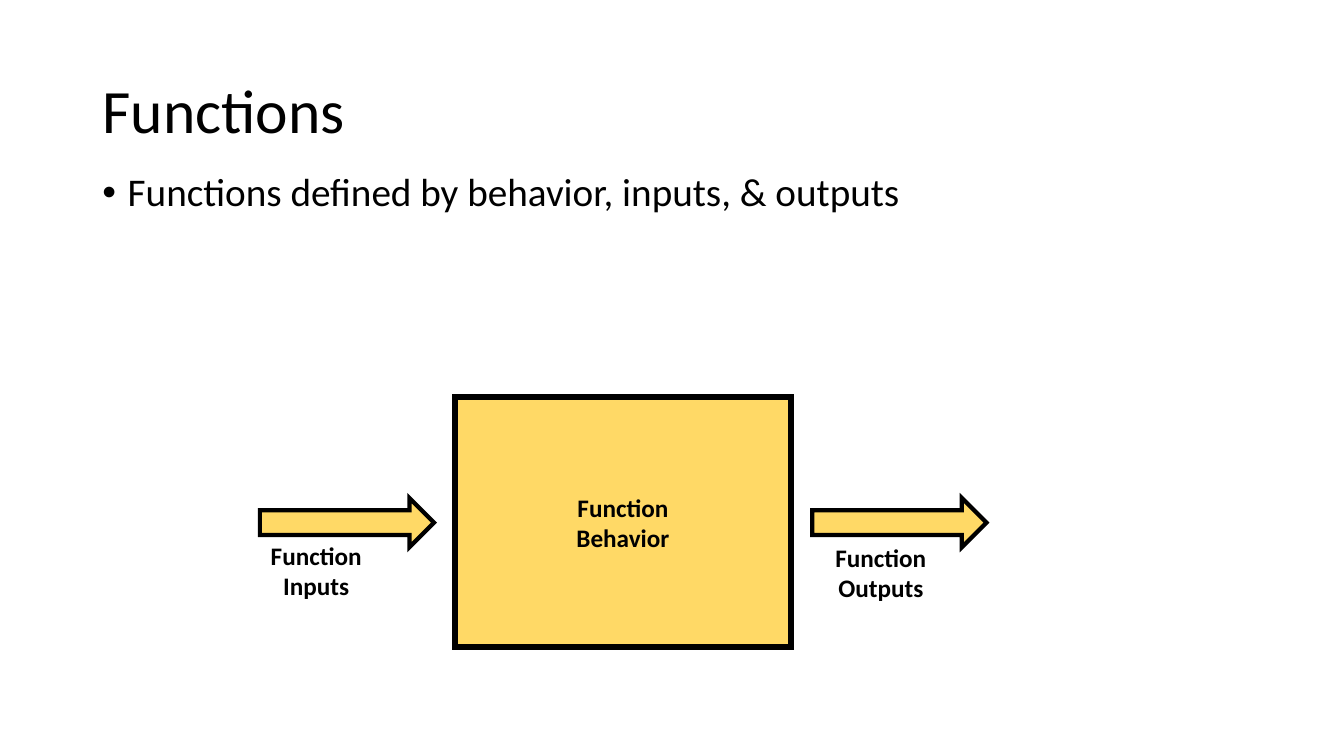
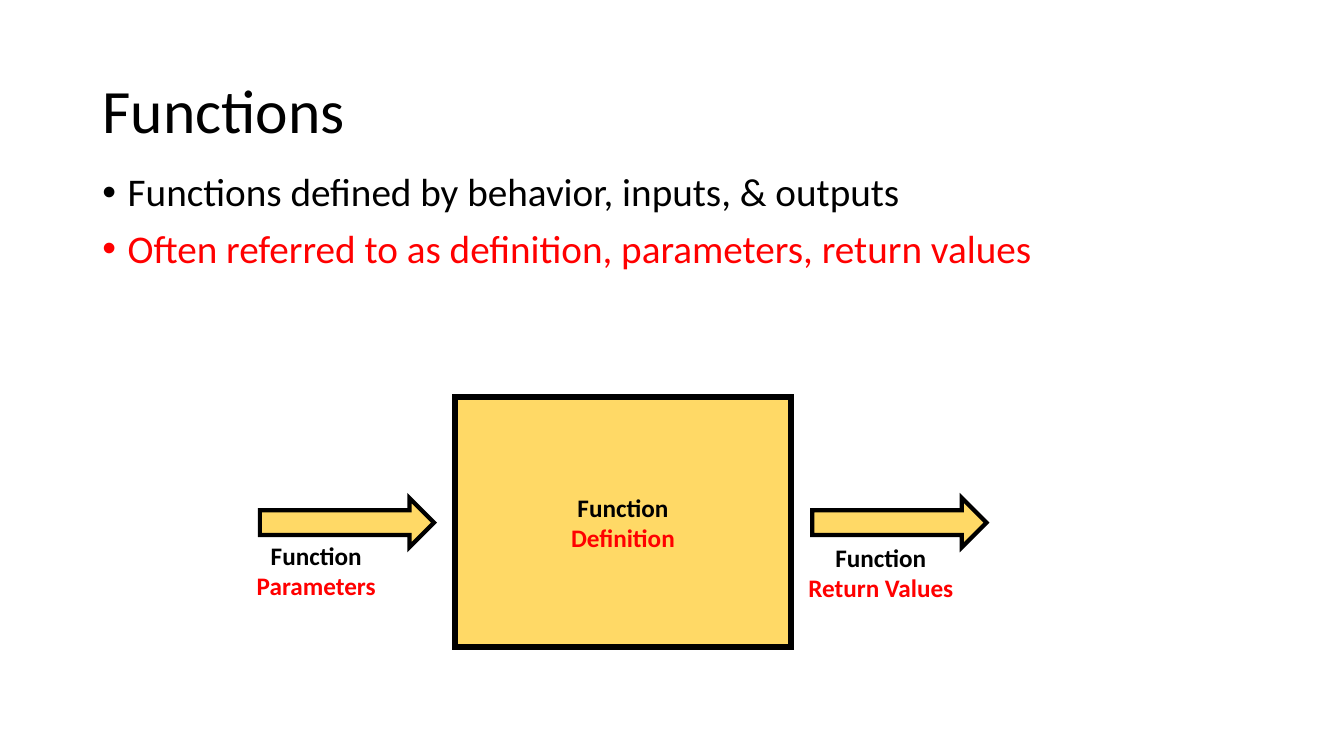
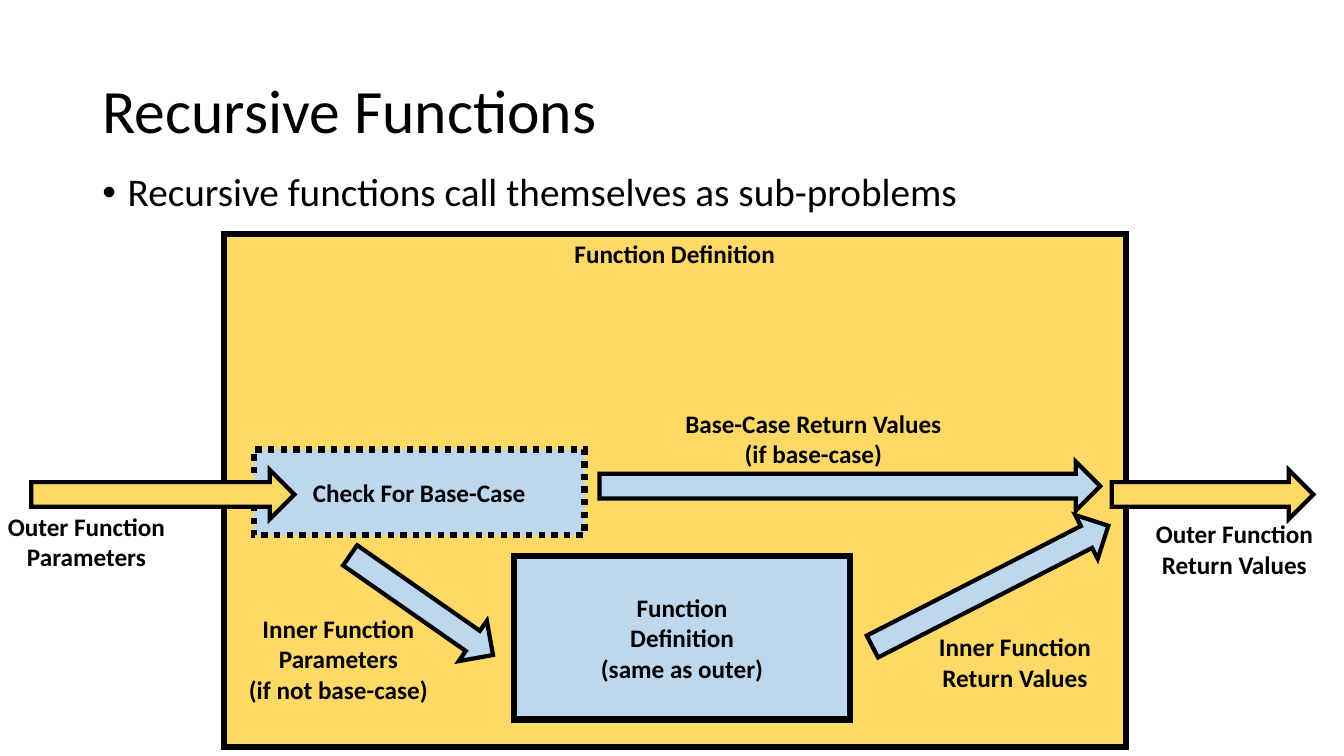
from lxml.etree import SubElement
from pptx import Presentation
from pptx.dml.color import RGBColor
from pptx.enum.dml import MSO_LINE
from pptx.enum.shapes import MSO_SHAPE
from pptx.enum.text import MSO_ANCHOR, PP_ALIGN
from pptx.oxml.ns import qn
from pptx.util import Cm, Pt

HUES = {"ink": "000000", "red": "FF0000", "gold": "FFD966", "blue": "BDD7EE"}
FONT = "Calibri"
WIDE = 8.48


def hue(name):
    return RGBColor.from_string(HUES[name])


def write(frame, text, size, bold=False, align=PP_ALIGN.CENTER,
          anchor=MSO_ANCHOR.MIDDLE, rest="ink"):
    frame.text = text
    frame.word_wrap = True
    frame.vertical_anchor = anchor
    for i, para in enumerate(frame.paragraphs):
        para.alignment = align
        for run in para.runs:
            run.font.name = FONT
            run.font.size = Pt(size)
            run.font.bold = bold
            run.font.color.rgb = hue(rest if i else "ink")


def bullet(para):
    para.line_spacing = 0.9
    para.space_before = Pt(10)
    props = para._p.get_or_add_pPr()
    props.set("marL", str(Cm(0.64)))
    props.set("indent", str(Cm(-0.64)))
    SubElement(props, qn("a:buFont"), typeface="Arial")
    SubElement(props, qn("a:buChar"), char="•")


def start(deck, title, points):
    slide = deck.slides.add_slide(deck.slide_layouts[5])
    head = slide.shapes.title
    head.left, head.top, head.width, head.height = map(Cm, (2.33, 1.01, 29.21, 3.68))
    write(head.text_frame, title, 44, align=PP_ALIGN.LEFT)
    head.text_frame.paragraphs[0].line_spacing = 0.9
    body = slide.shapes.add_textbox(*map(Cm, (2.33, 4.23, 29.21, 12.93)))
    write(body.text_frame, points, 28, align=PP_ALIGN.LEFT,
          anchor=MSO_ANCHOR.TOP, rest="red")
    for para in body.text_frame.paragraphs:
        bullet(para)
    return slide


def solid(slide, kind, area, fill, weight, dash=None):
    shape = slide.shapes.add_shape(kind, *map(Cm, area))
    shape.shadow.inherit = False
    shape.fill.solid()
    shape.fill.fore_color.rgb = hue(fill)
    shape.line.color.rgb = hue("ink")
    shape.line.width = Pt(weight)
    if dash:
        shape.line.dash_style = dash
    SubElement(shape.line._get_or_add_ln(), qn("a:miter"), lim="800000")
    return shape


def box(slide, area, text, fill="gold", rest="ink", dash=None,
        anchor=MSO_ANCHOR.MIDDLE):
    shape = solid(slide, MSO_SHAPE.RECTANGLE, area, fill, 4.5, dash)
    write(shape.text_frame, text, 18, True, anchor=anchor, rest=rest)


def arrow(slide, left, top, width=4.39, fill="gold", turn=0):
    shape = solid(slide, MSO_SHAPE.RIGHT_ARROW, (left, top, width, 1.24), fill, 3)
    shape.rotation = turn


def label(slide, left, top, text, rest="ink"):
    shape = slide.shapes.add_textbox(*map(Cm, (left, top, WIDE, 1.3)))
    write(shape.text_frame, text, 18, True, rest=rest)


def flow(slide, work, given, result, rest="ink"):
    box(slide, (11.46, 10.01, WIDE, 6.3), f"Function\n{work}", rest=rest)
    for left in (6.55, 20.47):
        arrow(slide, left, 12.55)
    label(slide, 3.73, 13.72, f"Function\n{given}", rest)
    label(slide, 17.96, 13.77, f"Function\n{result}", rest)


def nest(slide):
    box(slide, (5.64, 5.89, 22.73, 12.93), "Function Definition",
        anchor=MSO_ANCHOR.TOP)
    box(slide, (12.95, 14.02, WIDE, 4.11),
        "Function\nDefinition\n(same as outer)", "blue")
    box(slide, (6.4, 11.33, 8.33, 2.16), "Check For Base-Case", "blue",
        dash=MSO_LINE.ROUND_DOT)
    arrow(slide, 8.43, 14.63, fill="blue", turn=34.9)
    arrow(slide, 21.62, 14.15, 6.68, "blue", 332.9)
    arrow(slide, 28.02, 11.84, 5.08)
    arrow(slide, 0.79, 11.84, 6.63)
    arrow(slide, 15.11, 11.63, 12.62, "blue")
    for left, top, text in (
        (4.29, 15.95, "Inner Function\nParameters\n(if not base-case)"),
        (21.34, 16.03, "Inner Function\nReturn Values"),
        (-2.06, 13, "Outer Function\nParameters"),
        (26.87, 13.18, "Outer Function\nReturn Values"),
        (16.26, 10.39, "Base-Case Return Values\n(if base-case)"),
    ):
        label(slide, left, top, text)


def main():
    deck = Presentation()
    deck.slide_width, deck.slide_height = Cm(33.87), Cm(19.05)
    basic = "Functions defined by behavior, inputs, & outputs"
    terms = "Often referred to as definition, parameters, return values"
    flow(start(deck, "Functions", basic), "Behavior", "Inputs", "Outputs")
    flow(start(deck, "Functions", f"{basic}\n{terms}"),
         "Definition", "Parameters", "Return Values", "red")
    nest(start(deck, "Recursive Functions",
               "Recursive functions call themselves as sub-problems"))
    deck.save("out.pptx")


if __name__ == "__main__":
    main()
